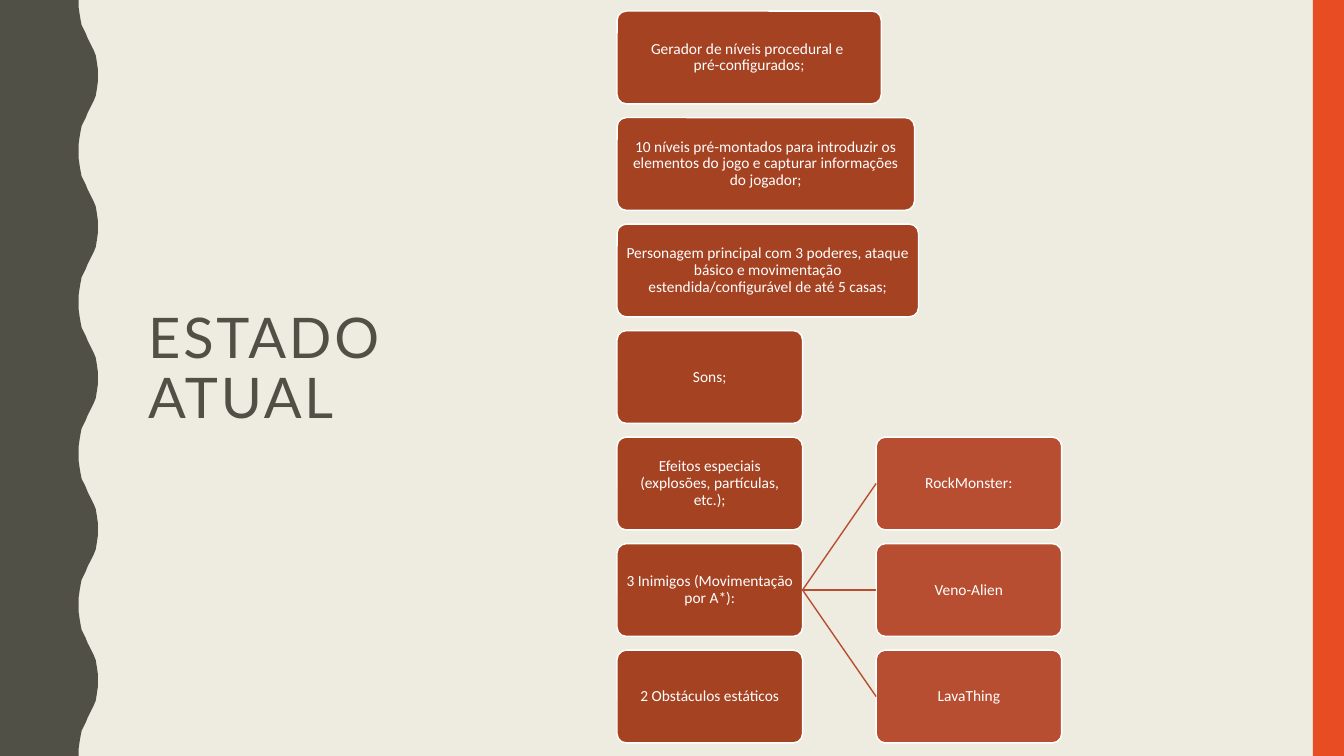
from lxml.etree import SubElement
from pptx import Presentation
from pptx.dml.color import RGBColor
from pptx.enum.shapes import MSO_CONNECTOR, MSO_SHAPE
from pptx.enum.text import MSO_ANCHOR, MSO_AUTO_SIZE, PP_ALIGN
from pptx.oxml.ns import qn
from pptx.util import Inches, Pt

HUES = {"back": "EEECE1", "dark": "505046", "side": "E84C22",
        "main": "A54222", "sub": "B74E31", "white": "FFFFFF"}
WAVE = [(0.78, 0), (0.78, 0.07), (0.79, 0.14), (0.8, 0.2), (0.81, 0.25),
        (0.83, 0.29), (0.85, 0.33), (0.87, 0.38), (0.89, 0.42), (0.91, 0.46),
        (0.93, 0.5), (0.95, 0.55), (0.96, 0.61), (0.97, 0.68), (0.97, 0.75)]
CYCLE = 1.5
ITEMS = [
    (2.62, ["Gerador de níveis procedural e ", "pré-configurados;"]),
    (2.95, ["10 níveis pré-montados para introduzir os elementos do jogo "
            "e capturar informações do jogador;"]),
    (2.99, ["Personagem principal com 3 poderes, ataque básico e movimentação "
            "estendida/configurável de até 5 casas;"]),
    (1.84, ["Sons;"]),
    (1.84, ["Efeitos especiais (explosões, partículas, etc.);"]),
    (1.84, ["3 Inimigos (Movimentação por A*):"]),
    (1.84, ["2 Obstáculos estáticos"]),
]
FOES = ["RockMonster:", "Veno-Alien", "LavaThing"]
PARENT = 5
CARD_H = 0.92


def hue(name):
    """Return the named colour."""
    return RGBColor.from_string(HUES[name])


def paint(shape, name):
    """Give a shape a flat fill with no line or shadow."""
    shape.shadow.inherit = False
    shape.fill.solid()
    shape.fill.fore_color.rgb = hue(name)
    shape.line.fill.background()


def add_frame(slide, width, height):
    """Draw the wavy left edge and the right bar."""
    back = [(x, CYCLE - y) for x, y in WAVE[-2:0:-1]]
    edge = [(x, y + CYCLE * turn) for turn in range(round(height / CYCLE))
            for x, y in WAVE + back]
    edge += [(WAVE[0][0], height), (0, height)]
    form = slide.shapes.build_freeform(0, 0, scale=1.0)
    form.add_line_segments([(Inches(x), Inches(y)) for x, y in edge], close=True)
    paint(form.convert_to_shape(), "dark")
    bar = slide.shapes.add_shape(MSO_SHAPE.RECTANGLE, Inches(width - 0.31), 0,
                                 Inches(0.31), Inches(height))
    paint(bar, "side")


def add_title(slide, left, top, width, height):
    """Place the title in its box."""
    title = slide.shapes.title
    title.left, title.top = Inches(left), Inches(top)
    title.width, title.height = Inches(width), Inches(height)
    frame = title.text_frame
    frame.auto_size = MSO_AUTO_SIZE.NONE
    frame.word_wrap = True
    frame.vertical_anchor = MSO_ANCHOR.MIDDLE
    para = frame.paragraphs[0]
    para.alignment = PP_ALIGN.LEFT
    para.line_spacing = 0.9
    run = para.add_run()
    run.text = "ESTADO ATUAL"
    run.font.name, run.font.size = "Lato", Pt(40)
    run.font.color.rgb = hue("dark")
    run.font._element.set("spc", "200")


def add_card(slide, left, top, width, lines, name):
    """Draw one rounded card with centred text."""
    card = slide.shapes.add_shape(MSO_SHAPE.ROUNDED_RECTANGLE, Inches(left),
                                  Inches(top), Inches(width), Inches(CARD_H))
    paint(card, name)
    card.adjustments[0] = 0.1
    card.line.color.rgb = hue("white")
    card.line.width = Pt(1)
    frame = card.text_frame
    frame.word_wrap = True
    frame.vertical_anchor = MSO_ANCHOR.MIDDLE
    frame.margin_left = frame.margin_right = Inches(0.04)
    frame.margin_top = frame.margin_bottom = Inches(0.04)
    para = frame.paragraphs[0]
    para.alignment = PP_ALIGN.CENTER
    para.line_spacing = 0.9
    for i, line in enumerate(lines):
        if i:
            para.add_line_break()
        run = para.add_run()
        run.text = line
        run.font.name, run.font.size = "Calibri", Pt(11)
        run.font.color.rgb = hue("white")
    return card


def add_link(slide, start, end):
    """Join the right side of one card to the left side of another."""
    link = slide.shapes.add_connector(MSO_CONNECTOR.STRAIGHT, 0, 0, 0, 0)
    link.begin_connect(start, 3)
    link.end_connect(end, 1)
    link.line.color.rgb = hue("sub")
    link.line.width = Pt(1)
    SubElement(link._element.spPr, qn("a:effectLst"))


def add_tree(slide, left, top, height):
    """Stack the item cards and branch the foes from their parent."""
    step = (height - CARD_H) / (len(ITEMS) - 1)
    cards = [add_card(slide, left, top + i * step, width, lines, "main")
             for i, (width, lines) in enumerate(ITEMS)]
    for row, foe in enumerate(FOES, PARENT - 1):
        card = add_card(slide, left + 2.57, top + row * step, 1.84, [foe], "sub")
        add_link(slide, cards[PARENT], card)


def main():
    """Build and save the slide."""
    deck = Presentation()
    deck.slide_width, deck.slide_height = Inches(13.33), Inches(7.5)
    slide = deck.slides.add_slide(deck.slide_layouts[5])
    slide.background.fill.solid()
    slide.background.fill.fore_color.rgb = hue("back")
    add_frame(slide, 13.33, 7.5)
    add_title(slide, 1.37, 0.71, 3.7, 5.93)
    add_tree(slide, 6.12, 0.11, 7.26)
    deck.save("out.pptx")


if __name__ == "__main__":
    main()
